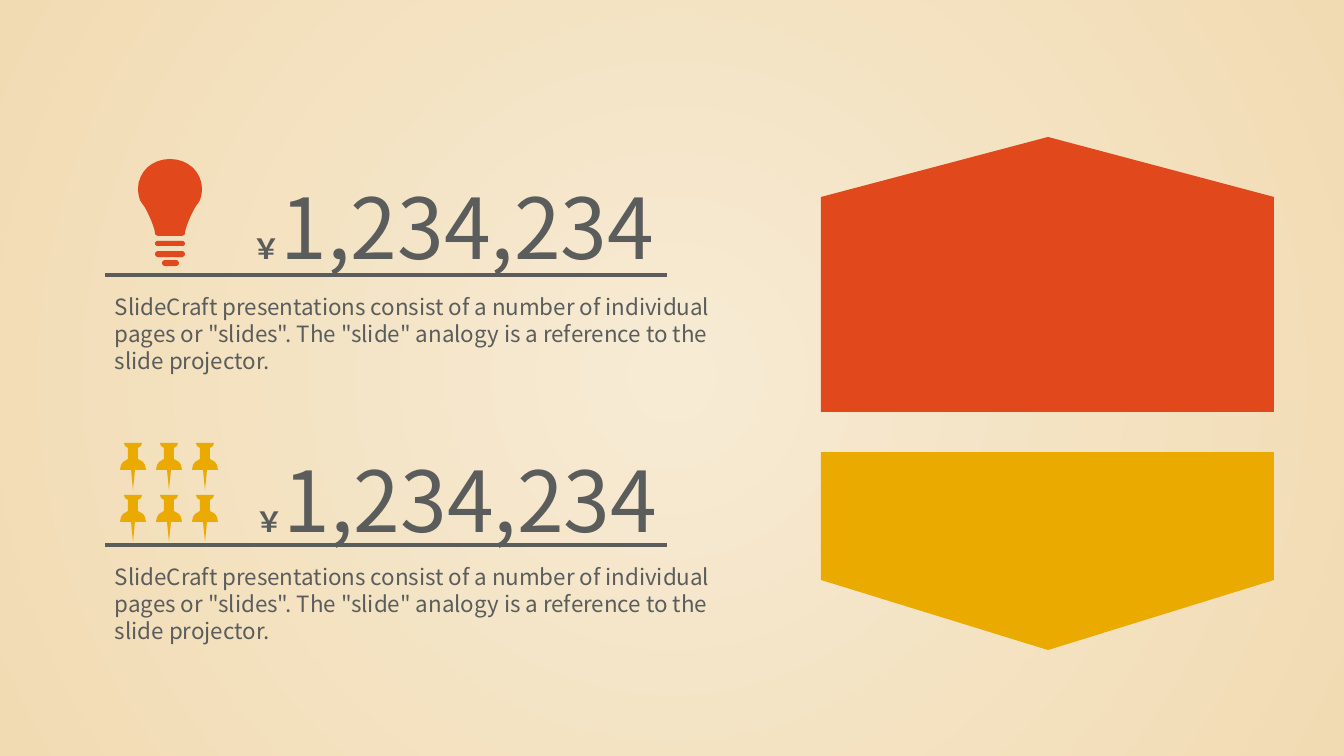
from lxml import etree
from pptx import Presentation
from pptx.dml.color import RGBColor
from pptx.enum.shapes import MSO_CONNECTOR, MSO_SHAPE
from pptx.enum.text import MSO_AUTO_SIZE
from pptx.oxml import parse_xml
from pptx.oxml.ns import qn
from pptx.util import Emu, Pt

PX = 12192000 / 1344
FINE = 10
FONT = "Noto Sans CJK SC"
GREY, RED, GOLD = "5B5D5C", "E1491D", "EBAA00"
DESCRIPTION = (
    'SlideCraft presentations consist of a number of individual pages or "slides". '
    'The "slide" analogy is a reference to the slide projector.'
)


def add_outline(shapes, points, color):
    fine_points = [(x * FINE, y * FINE) for x, y in points]
    builder = shapes.build_freeform(*fine_points[0], scale=PX / FINE)
    builder.add_line_segments(fine_points[1:], close=True)
    outline = builder.convert_to_shape()
    outline.fill.solid()
    outline.fill.fore_color.rgb = RGBColor.from_string(color)
    outline.line.fill.background()
    outline.shadow.inherit = False


def add_text(box, pieces):
    left, top, width, height = [Emu(round(n * PX)) for n in box]
    frame = slide.shapes.add_textbox(left, top, width, height).text_frame
    frame.word_wrap = True
    frame.auto_size = MSO_AUTO_SIZE.SHAPE_TO_FIT_TEXT
    paragraph = frame.paragraphs[0]
    for words, size, bold in pieces:
        run = paragraph.add_run()
        run.text = words
        run.font.size = Pt(size)
        run.font.bold = bold
        run.font.name = FONT
        run.font.color.rgb = RGBColor.from_string(GREY)
        etree.SubElement(run.font._element, qn("a:ea"), typeface=FONT)
    return paragraph


prs = Presentation()
prs.slide_width = Emu(round(1344 * PX))
prs.slide_height = Emu(round(756 * PX))
slide = prs.slides.add_slide(prs.slide_layouts[6])

backdrop = slide.background.fill
backdrop.gradient()
for stop, color in zip(backdrop.gradient_stops, ("F7EBD4", "F1DBB3")):
    stop.color.rgb = RGBColor.from_string(color)
linear = next(slide._element.iter(qn("a:lin")))
linear.getparent().replace(linear, parse_xml(
    '<a:path xmlns:a="http://schemas.openxmlformats.org/drawingml/2006/main" path="circle">'
    '<a:fillToRect l="50000" t="50000" r="50000" b="50000"/></a:path>'
))

bulb_center = 170
bulb_curves = [
    ((152, 159), (138, 172), (138, 189)),
    ((138, 193), (139, 197), (140, 200)),
    ((141, 202), (143, 205), (144, 206)),
    ((149, 214), (155, 229), (155, 233)),
    ((155, 235), (157, 236), (159, 236)),
]
bulb_half = [(bulb_center, 159)]
for pull_out, pull_in, end in bulb_curves:
    start = bulb_half[-1]
    for step in range(1, 9):
        t = step / 8
        bulb_half.append(tuple(
            (1 - t) ** 3 * a + 3 * (1 - t) ** 2 * t * b + 3 * (1 - t) * t ** 2 * c + t ** 3 * d
            for a, b, c, d in zip(start, pull_out, pull_in, end)
        ))
bulb = slide.shapes.add_group_shape().shapes
add_outline(bulb, bulb_half + [(2 * bulb_center - x, y) for x, y in bulb_half[:0:-1]], RED)
for left, top, width, height in ((155, 241, 30, 5), (155, 251, 30, 6), (162, 260, 17, 6)):
    thread = bulb.add_shape(
        MSO_SHAPE.ROUNDED_RECTANGLE, *[Emu(round(n * PX)) for n in (left, top, width, height)]
    )
    thread.adjustments[0] = 0.5
    thread.fill.solid()
    thread.fill.fore_color.rgb = RGBColor.from_string(RED)
    thread.line.fill.background()
    thread.shadow.inherit = False

pin_half = [(9, 0), (8, 3), (5, 5), (5, 16), (10, 19), (12, 22), (13, 27), (2, 27), (0, 47)]
pin_outline = pin_half + [(-x, y) for x, y in pin_half[-2::-1]]
pins = slide.shapes.add_group_shape().shapes
for top in (443, 495):
    for center in range(133, 206, 36):
        add_outline(pins, [(center + x, top + y) for x, y in pin_outline], GOLD)

for rule_y, amount_left, amount_top in ((275, 243, 180), (545, 246, 453)):
    rule = slide.shapes.add_connector(
        MSO_CONNECTOR.STRAIGHT, *[Emu(round(n * PX)) for n in (105, rule_y, 667, rule_y)]
    )
    rule.line.color.rgb = RGBColor.from_string(GREY)
    rule.line.width = Pt(3)
    etree.SubElement(rule._element.spPr, qn("a:effectLst"))
    add_text((105, rule_y + 13, 639, 92), [(DESCRIPTION, 16, False)])
    amount = add_text(
        (amount_left, amount_top, 687 - amount_left, 102),
        [("￥", 20, True), ("1,234,234", 60, False)],
    )
    amount.line_spacing = Pt(65)

add_outline(slide.shapes, [(821, 197), (1048, 137), (1274, 197), (1274, 412), (821, 412)], RED)
add_outline(slide.shapes, [(821, 452), (1274, 452), (1274, 580), (1048, 650), (821, 580)], GOLD)

prs.save("out.pptx")
